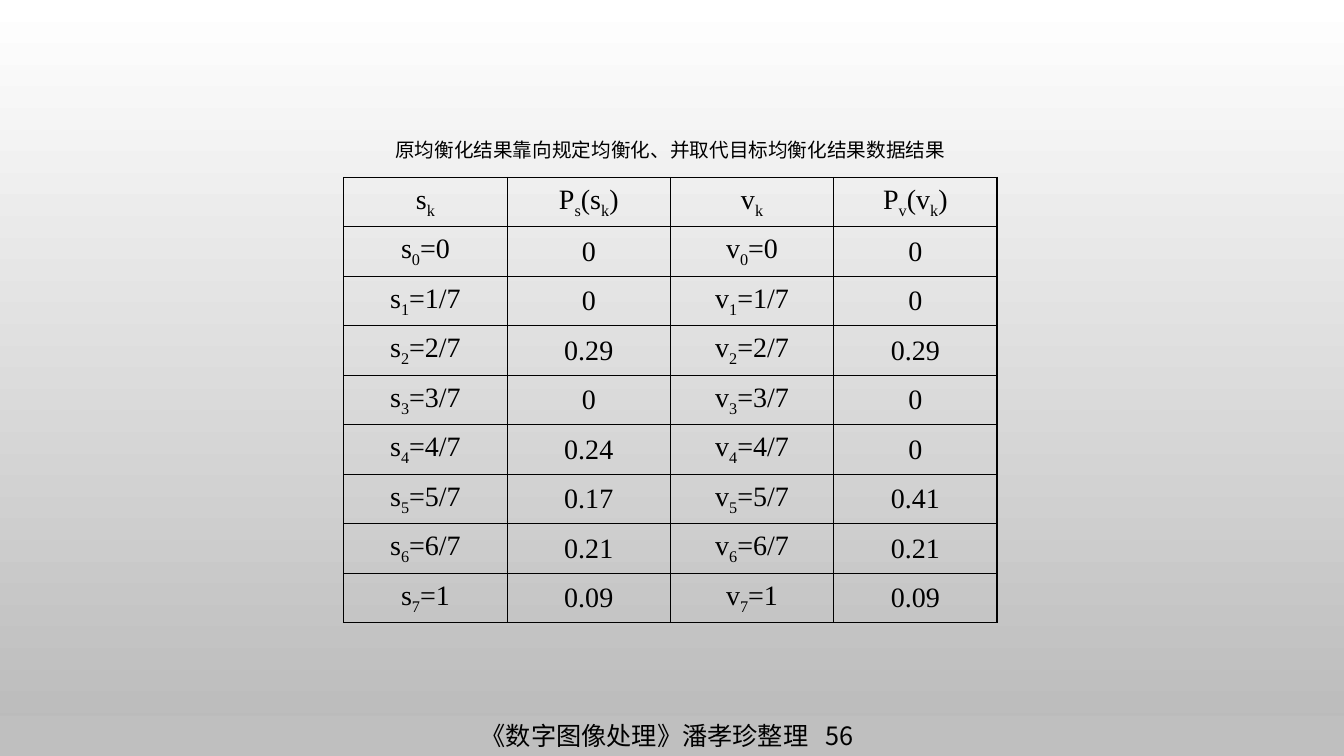
from dataclasses import dataclass

import lxml.etree
import pptx
import pptx.dml.color
import pptx.enum.shapes
import pptx.enum.text
import pptx.oxml.ns
import pptx.slide
import pptx.table
import pptx.text.text
import pptx.util

BLACK = pptx.dml.color.RGBColor(0x00, 0x00, 0x00)
WHITE = pptx.dml.color.RGBColor(0xFF, 0xFF, 0xFF)
GREY = pptx.dml.color.RGBColor(0xB9, 0xB9, 0xB9)
FOOTER_GREY = pptx.dml.color.RGBColor(0xBF, 0xBF, 0xBF)

SLIDE_WIDTH = pptx.util.Inches(13.33)
SLIDE_HEIGHT = pptx.util.Inches(7.5)
FOOTER_HEIGHT = pptx.util.Inches(0.4)

TABLE_LEFT = pptx.util.Inches(3.41)
TABLE_TOP = pptx.util.Inches(1.2)
COLUMN_WIDTH = pptx.util.Inches(1.62)
CAPTION_HEIGHT = pptx.util.Inches(0.56)
ROW_HEIGHT = pptx.util.Inches(4.42) // 9
CELL_MARGIN = pptx.util.Inches(0.07)


@dataclass(frozen=True)
class TextStyle:
    font_name: str
    size: int


CAPTION_STYLE = TextStyle("Noto Sans CJK SC", 14)
FOOTER_STYLE = TextStyle("Noto Sans CJK SC", 18)
CELL_STYLE = TextStyle("Times New Roman", 20)

CAPTION = "原均衡化结果靠向规定均衡化、并取代目标均衡化结果数据结果"
HEADINGS = ["s_k", "P_s(s_k)", "v_k", "P_v(v_k)"]
LEVELS = ["0", "1/7", "2/7", "3/7", "4/7", "5/7", "6/7", "1"]
SOURCE_SHARES = ["0", "0", "0.29", "0", "0.24", "0.17", "0.21", "0.09"]
TARGET_SHARES = ["0", "0", "0.29", "0", "0", "0.41", "0.21", "0.09"]


def style_paragraph(paragraph: pptx.text.text._Paragraph, style: TextStyle) -> None:
    paragraph.alignment = pptx.enum.text.PP_ALIGN.CENTER
    font = paragraph.font
    font.name = style.font_name
    font.size = pptx.util.Pt(style.size)
    font.bold = False
    font.color.rgb = BLACK
    latin = font._element.find(pptx.oxml.ns.qn("a:latin"))
    east_asian = lxml.etree.Element(pptx.oxml.ns.qn("a:ea"), typeface=style.font_name)
    latin.addnext(east_asian)


def add_marked_runs(paragraph: pptx.text.text._Paragraph, marked_text: str) -> None:
    """Add runs, lowering each character that follows an underscore."""
    first, *pieces = marked_text.split("_")
    paragraph.add_run().text = first
    for piece in pieces:
        subscript = paragraph.add_run()
        subscript.text = piece[0]
        subscript._r.get_or_add_rPr().set("baseline", "-25000")
        if piece[1:]:
            paragraph.add_run().text = piece[1:]


def set_borders(cell: pptx.table._Cell, visible_sides: str) -> None:
    """Draw the sides named by the letters L, R, T and B, and hide the others."""
    properties = cell._tc.get_or_add_tcPr()
    for side in "LRTB":
        line = lxml.etree.SubElement(
            properties, pptx.oxml.ns.qn(f"a:ln{side}"), w=str(pptx.util.Pt(1))
        )
        if side in visible_sides:
            fill = lxml.etree.SubElement(line, pptx.oxml.ns.qn("a:solidFill"))
            lxml.etree.SubElement(fill, pptx.oxml.ns.qn("a:srgbClr"), val=str(BLACK))
        else:
            lxml.etree.SubElement(line, pptx.oxml.ns.qn("a:noFill"))


def fill_cell(
    cell: pptx.table._Cell, marked_text: str, style: TextStyle, visible_sides: str = "LRTB"
) -> None:
    set_borders(cell, visible_sides)
    cell.fill.background()
    cell.margin_left = cell.margin_right = CELL_MARGIN
    cell.margin_top = cell.margin_bottom = 0
    cell.vertical_anchor = pptx.enum.text.MSO_ANCHOR.MIDDLE
    paragraph = cell.text_frame.paragraphs[0]
    add_marked_runs(paragraph, marked_text)
    style_paragraph(paragraph, style)


def paint_background(slide: pptx.slide.Slide) -> None:
    fill = slide.background.fill
    fill.gradient()
    fill.gradient_angle = 270
    for stop, color in zip(fill.gradient_stops, (WHITE, GREY)):
        stop.color.rgb = color


def add_footer(slide: pptx.slide.Slide) -> None:
    footer = slide.shapes.add_shape(
        pptx.enum.shapes.MSO_SHAPE.RECTANGLE,
        0, SLIDE_HEIGHT - FOOTER_HEIGHT, SLIDE_WIDTH, FOOTER_HEIGHT,
    )
    footer.shadow.inherit = False
    footer.fill.solid()
    footer.fill.fore_color.rgb = FOOTER_GREY
    footer.line.fill.background()
    frame = footer.text_frame
    frame.margin_right = pptx.util.Inches(0.2)
    frame.vertical_anchor = pptx.enum.text.MSO_ANCHOR.MIDDLE
    paragraph = frame.paragraphs[0]
    credit, gap, number = (paragraph.add_run() for _ in range(3))
    credit.text, gap.text, number.text = "《数字图像处理》潘孝珍整理", " ", "56"
    gap._r.get_or_add_rPr().set("spc", "800")
    style_paragraph(paragraph, FOOTER_STYLE)


def add_histogram_table(slide: pptx.slide.Slide) -> None:
    body = [
        [f"s_{index}={level}", source, f"v_{index}={level}", target]
        for index, (level, source, target) in enumerate(
            zip(LEVELS, SOURCE_SHARES, TARGET_SHARES)
        )
    ]
    rows = [HEADINGS, *body]
    column_count = len(HEADINGS)
    table = slide.shapes.add_table(
        len(rows) + 1, column_count, TABLE_LEFT, TABLE_TOP,
        COLUMN_WIDTH * column_count, CAPTION_HEIGHT + ROW_HEIGHT * len(rows),
    ).table
    table.first_row = False
    table.horz_banding = False
    for column in table.columns:
        column.width = COLUMN_WIDTH
    for row in table.rows:
        row.height = ROW_HEIGHT
    table.rows[0].height = CAPTION_HEIGHT

    caption_cell = table.cell(0, 0)
    caption_cell.merge(table.cell(0, column_count - 1))
    fill_cell(caption_cell, CAPTION, CAPTION_STYLE, visible_sides="B")
    for row_index, texts in enumerate(rows, start=1):
        for column_index, text in enumerate(texts):
            fill_cell(table.cell(row_index, column_index), text, CELL_STYLE)


def main() -> None:
    presentation = pptx.Presentation()
    presentation.slide_width = SLIDE_WIDTH
    presentation.slide_height = SLIDE_HEIGHT
    slide = presentation.slides.add_slide(presentation.slide_layouts[6])
    paint_background(slide)
    add_footer(slide)
    add_histogram_table(slide)
    presentation.save("out.pptx")


if __name__ == "__main__":
    main()
